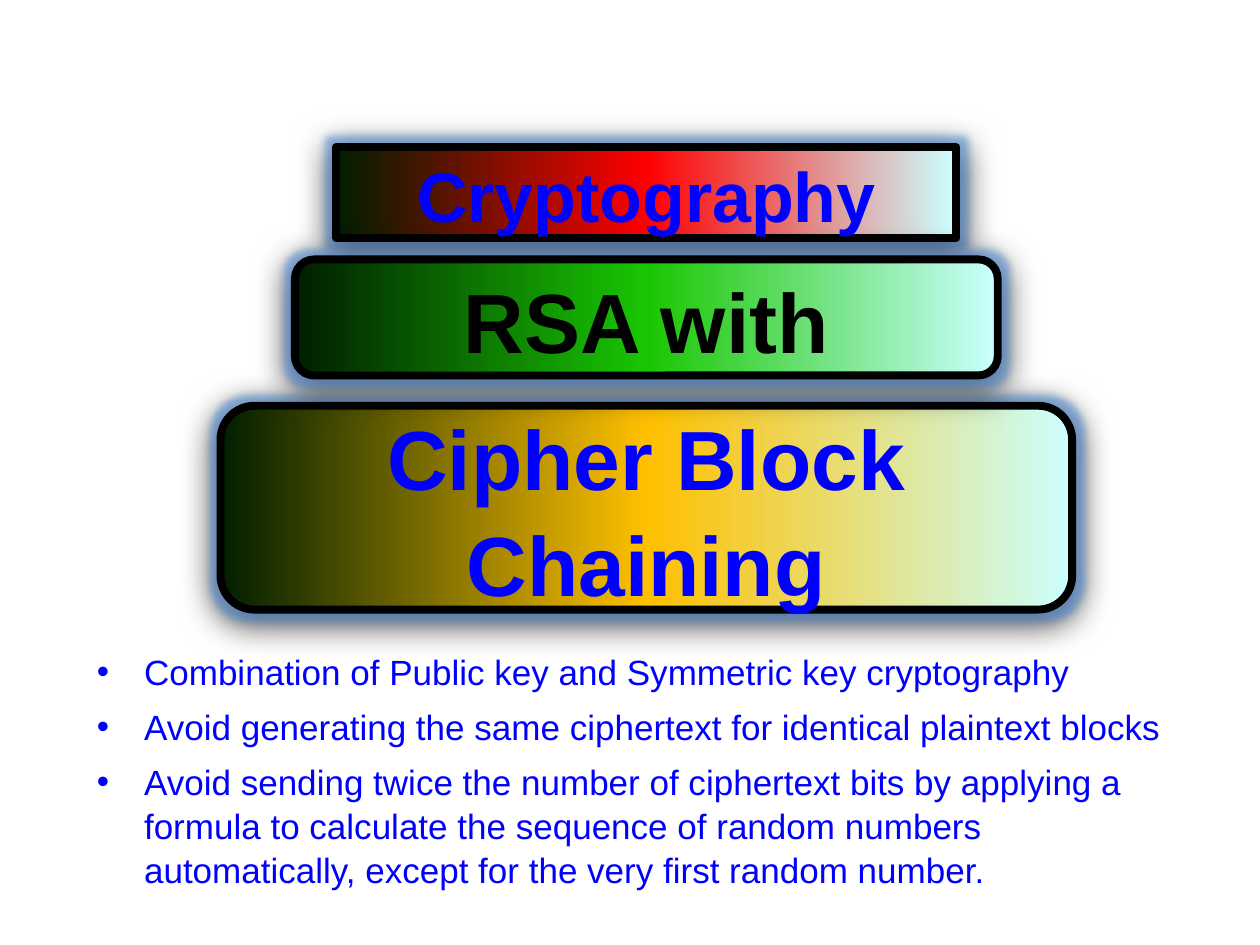
"""Build a slide on RSA with cipher block chaining."""
from typing import NamedTuple

from lxml import etree
from pptx import Presentation, util as u
from pptx.dml.color import RGBColor
from pptx.enum import shapes, text
from pptx.oxml.ns import qn

BLUE = RGBColor(0x00, 0x00, 0xFF)
BLACK = RGBColor(0x00, 0x00, 0x00)
DARK = RGBColor(0x00, 0x1E, 0x00)
PALE = RGBColor(0xCC, 0xFF, 0xFF)
RED = RGBColor(0xFF, 0x00, 0x00)
GOLD = RGBColor(0xFF, 0xC0, 0x00)
GREEN = RGBColor(0x19, 0xC6, 0x02)
GLOW = RGBColor(0x55, 0x8E, 0xD5)
MID = 13.03
KIND = shapes.MSO_SHAPE.ROUNDED_RECTANGLE


class Plate(NamedTuple):
    """Describe one banner plate, in centimetres."""
    words: str
    top: float
    width: float
    height: float
    tint: RGBColor
    ink: RGBColor
    size: int


HEAD = Plate("Cryptography", 2.97, 12.5, 1.83, RED, BLUE, 40)
PLATES = [
    Plate("Cipher Block Chaining", 8.18, 17.17, 4.11, GOLD, BLUE, 48),
    Plate("RSA with", 5.23, 14.17, 2.34, GREEN, BLACK, 48),
]
POINTS = [
    "Combination of Public key and Symmetric key cryptography",
    "Avoid generating the same ciphertext for identical plaintext blocks",
    "Avoid sending twice the number of ciphertext bits by applying a formula "
    "to calculate the sequence of random numbers automatically, except for "
    "the very first random number.",
]


def node(up, tag: str, **attrs):
    """Add a drawing element below another."""
    return etree.SubElement(up, qn("a:" + tag), {k: str(v) for k, v in attrs.items()})


def tone(up, color: RGBColor, alpha: int = 100) -> None:
    """Add a colour with its opacity in percent."""
    node(node(up, "srgbClr", val=color), "alpha", val=alpha * 1000)


def place(shape, left: float, top: float, width: float, height: float) -> None:
    """Move and size a shape in centimetres."""
    shape.left, shape.top = u.Cm(left), u.Cm(top)
    shape.width, shape.height = u.Cm(width), u.Cm(height)


def write(shape, lines: list[str], *, size: int, color: RGBColor, bold: bool = False,
          align=text.PP_ALIGN.LEFT, anchor=text.MSO_ANCHOR.TOP,
          gap: float = 0, hang: float = 0) -> None:
    """Fill a shape with formatted paragraphs."""
    frame = shape.text_frame
    frame.text = "\n".join(lines)
    frame.word_wrap = True
    frame.auto_size = text.MSO_AUTO_SIZE.NONE
    frame.vertical_anchor = anchor
    for i, para in enumerate(frame.paragraphs):
        para.alignment = align
        para.line_spacing = 1.05
        para.space_before = u.Pt(gap if i else 0)
        font = para.runs[0].font
        font.name, font.size, font.bold = "Arial", u.Pt(size), bold
        font.color.rgb = color
        if hang:
            prop = para._p.get_or_add_pPr()
            prop.set("marL", str(u.Cm(hang)))
            prop.set("indent", str(-u.Cm(hang)))


def dress(shape, plate: Plate) -> None:
    """Give a shape its place, gradient, line, glow, shadow and text."""
    place(shape, MID - plate.width / 2, plate.top, plate.width, plate.height)
    prop = shape._element.spPr
    if prop.find(qn("a:prstGeom")) is None:
        node(node(prop, "prstGeom", prst="snip2DiagRect"), "avLst")
    grad = node(prop, "gradFill", rotWithShape=1)
    stops = node(grad, "gsLst")
    for pos, color in zip((0, 50, 100), (DARK, plate.tint, PALE)):
        tone(node(stops, "gs", pos=pos * 1000), color)
    node(grad, "lin", ang=0, scaled=0)
    shape.line.color.rgb = BLACK
    shape.line.width = u.Pt(4.5)
    mood = node(prop, "effectLst")
    tone(node(mood, "glow", rad=u.Pt(8)), GLOW, 60)
    tone(node(mood, "outerShdw", blurRad=u.Pt(19), dist=u.Pt(4), dir=5400000,
              algn="ctr", rotWithShape=0), BLACK, 74)
    write(shape, [plate.words], size=plate.size, color=plate.ink, bold=True,
          align=text.PP_ALIGN.CENTER, anchor=text.MSO_ANCHOR.MIDDLE)


def main() -> None:
    """Build and save the slide."""
    deck = Presentation()
    deck.slide_width, deck.slide_height = u.Cm(25.4), u.Cm(19.05)
    slide = deck.slides.add_slide(deck.slide_layouts[1])
    dress(slide.shapes.title, HEAD)
    for plate in PLATES:
        dress(slide.shapes.add_shape(KIND, 0, 0, 0, 0), plate)
    body = slide.placeholders[1]
    place(body, 1.7, 12.95, 22.3, 5)
    write(body, POINTS, size=20, color=BLUE, gap=6, hang=0.95)
    deck.save("out.pptx")


main()
